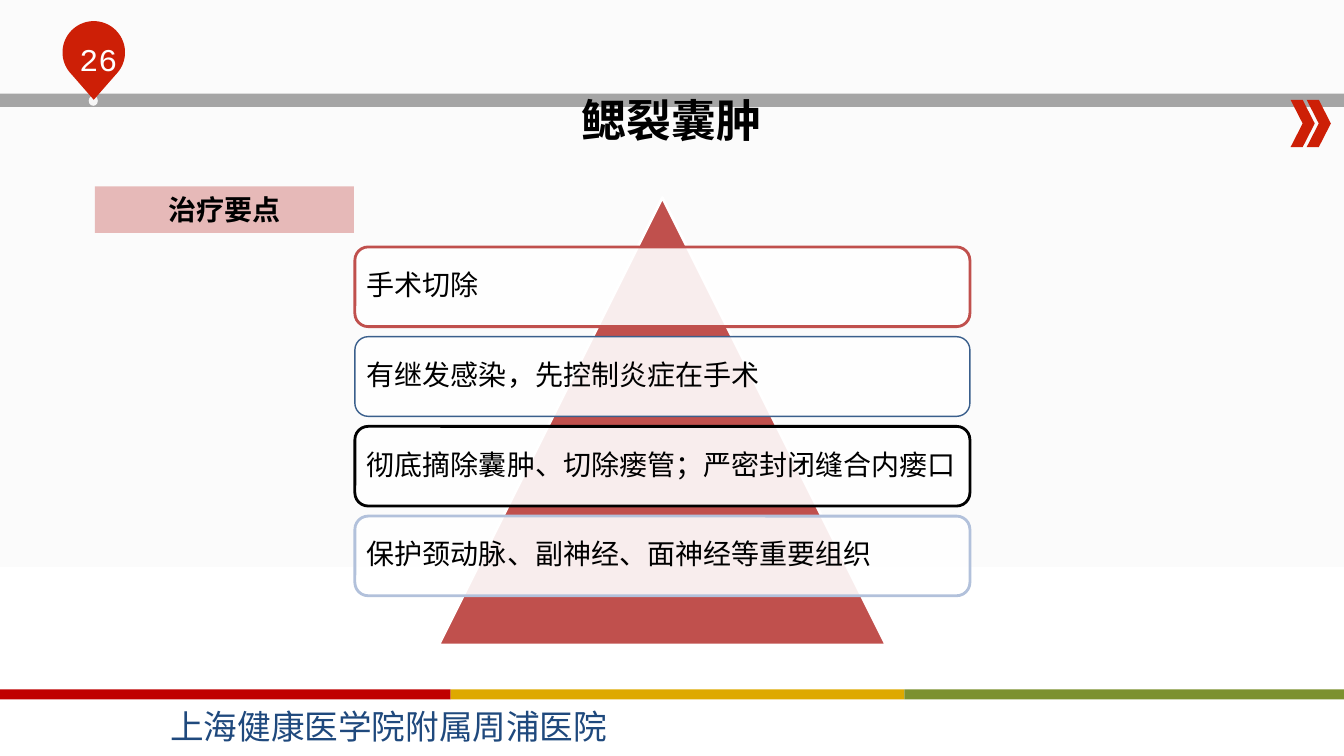
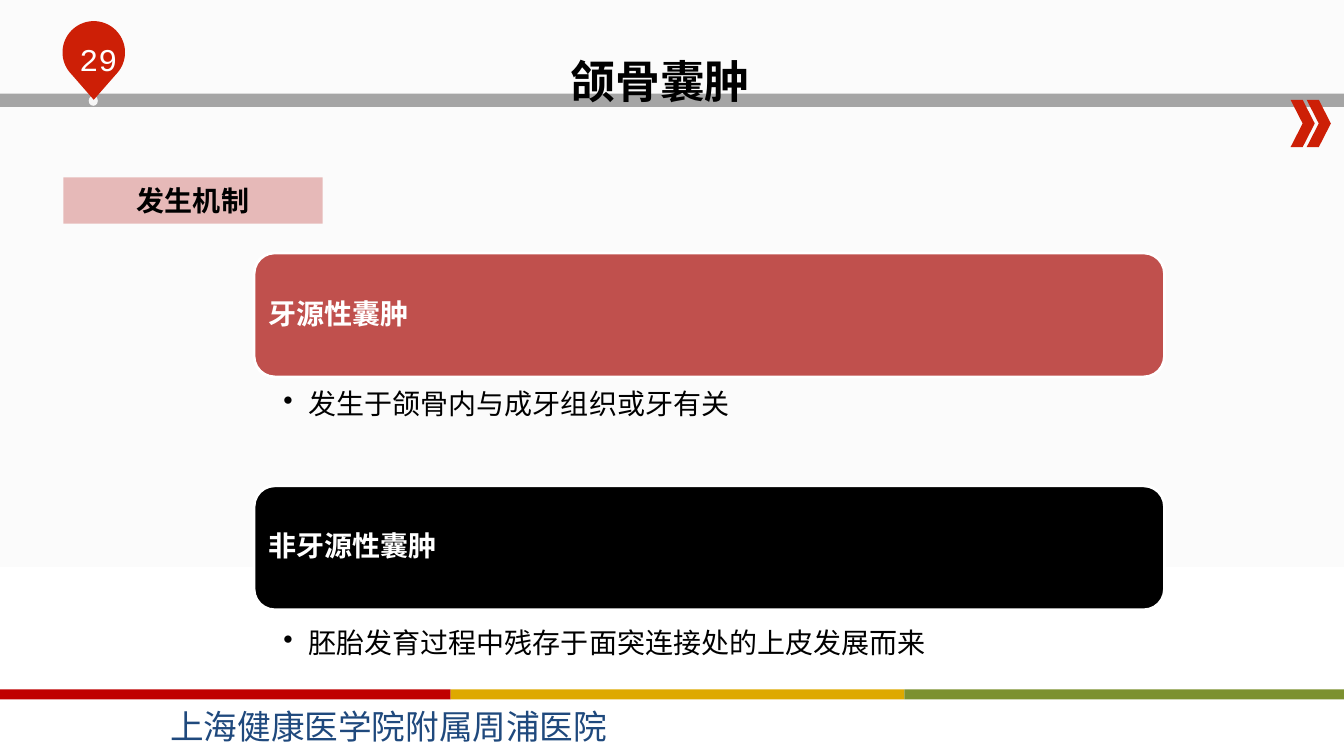
import copy
import math

import pptx
import pptx.dml.color
import pptx.enum.shapes
import pptx.enum.text
import pptx.oxml
import pptx.oxml.ns
import pptx.util

Inches = pptx.util.Inches
Pt = pptx.util.Pt
RGBColor = pptx.dml.color.RGBColor
SHAPE = pptx.enum.shapes.MSO_SHAPE
ALIGN = pptx.enum.text.PP_ALIGN
ANCHOR = pptx.enum.text.MSO_ANCHOR
AUTO_SIZE = pptx.enum.text.MSO_AUTO_SIZE
qn = pptx.oxml.ns.qn

# Colours
BLACK = RGBColor(0x00, 0x00, 0x00)
WHITE = RGBColor(0xFF, 0xFF, 0xFF)
OFF_WHITE = RGBColor(0xFB, 0xFB, 0xFB)
DOT_WHITE = RGBColor(0xF6, 0xF6, 0xF6)
GREY = RGBColor(0xA5, 0xA5, 0xA5)
PIN_RED = RGBColor(0xCD, 0x1F, 0x06)
BRICK = RGBColor(0xC0, 0x50, 0x4D)
PINK = RGBColor(0xE6, 0xB9, 0xB8)
STEEL_BLUE = RGBColor(0x3A, 0x5F, 0x8C)
PALE_BLUE = RGBColor(0xB2, 0xC1, 0xDB)
NAVY = RGBColor(0x1F, 0x49, 0x7D)
BAND_COLORS = (RGBColor(0xC0, 0x00, 0x00), RGBColor(0xDE, 0xA9, 0x00),
               RGBColor(0x7C, 0x91, 0x2F))

# Text formats
SERIF = "Times New Roman"
CHINESE = "Noto Sans CJK SC"
TITLE = {"name": SERIF, "size": Pt(32), "bold": True, "color": BLACK}
LABEL = {"name": SERIF, "size": Pt(20), "bold": True, "color": BLACK}
HEADING = {**LABEL, "color": WHITE}
BODY = {**LABEL, "bold": False}
FOOTER = {"name": CHINESE, "size": Pt(24), "color": NAVY}
NUMBER = {"name": "Courier New", "size": Pt(22.6), "color": WHITE}

SLIDE_WIDTH, SLIDE_HEIGHT = 13.33, 7.5
FOOTER_TEXT = "上海健康医学院附属周浦医院"


def write(shape, text, formats, align=ALIGN.LEFT, anchor=ANCHOR.TOP, wrap=True,
          insets=(0.1, 0.05, 0.1, 0.05), spacing=None, bullet=False):
    """Put one formatted paragraph into a shape."""
    frame = shape.text_frame
    frame.word_wrap = wrap
    frame.vertical_anchor = anchor
    for side, inset in zip(("left", "top", "right", "bottom"), insets):
        setattr(frame, f"margin_{side}", Inches(inset))
    paragraph = frame.paragraphs[0]
    paragraph.alignment = align
    if spacing:
        paragraph.line_spacing = spacing
    if bullet:
        properties = paragraph._p.get_or_add_pPr()
        properties.set("marL", str(Inches(0.25)))
        properties.set("indent", str(-Inches(0.25)))
        mark = properties.makeelement(qn("a:buChar"), {"char": "•"})
        properties.append(mark)
    run = paragraph.add_run()
    run.text = text
    for name, value in formats.items():
        if name == "color":
            run.font.color.rgb = value
        else:
            setattr(run.font, name, value)
    east_asian = run.font._element.makeelement(qn("a:ea"), {"typeface": CHINESE})
    run.font._element.append(east_asian)


def paint(shape, fill, line=None, line_width=2):
    shape.shadow.inherit = False
    shape.fill.solid()
    shape.fill.fore_color.rgb = fill
    if line is None:
        shape.line.fill.background()
    else:
        shape.line.color.rgb = line
        shape.line.width = Pt(line_width)


def add_box(slide, kind, box, fill, line=None, line_width=2):
    shape = slide.shapes.add_shape(kind, *map(Inches, box))
    paint(shape, fill, line, line_width)
    return shape


def add_text(slide, box, text, formats, **layout):
    shape = slide.shapes.add_textbox(*map(Inches, box))
    write(shape, text, formats, **layout)
    return shape


def set_background(slide):
    """Off-white for the upper half, fading to white at the foot."""
    fill = slide.background.fill
    fill.gradient()
    fill.gradient_angle = 270
    first, last = fill.gradient_stops
    first.color.rgb, first.position = OFF_WHITE, 0
    last.color.rgb, last.position = WHITE, 1
    stops = slide.element.find(".//" + qn("a:gsLst"))
    middle = copy.deepcopy(stops[0])
    middle.set("pos", "50000")
    stops.insert(1, middle)


def add_pin(slide, left, top, number):
    """Map pin with the page number: a round head and a pointed foot."""
    radius, height = 0.31, 0.78
    center_x, center_y = left + radius, top + radius
    add_box(slide, SHAPE.OVAL, (center_x - 0.05, top + 0.74, 0.09, 0.1), DOT_WHITE)
    arc = [(center_x + radius * math.cos(math.radians(angle)),
            center_y + radius * math.sin(math.radians(angle)))
           for angle in range(135, 406, 5)]
    points = [(Inches(x), Inches(y)) for x, y in arc]
    builder = slide.shapes.build_freeform(Inches(center_x), Inches(top + height))
    builder.add_line_segments(points, close=True)
    paint(builder.convert_to_shape(), PIN_RED)
    add_text(slide, (center_x - 0.39, top + 0.14, 0.87, 0.4), str(number), NUMBER,
             align=ALIGN.CENTER)


def add_footer(slide, top):
    edges = (0, 4.47, 8.97, SLIDE_WIDTH)
    for left, right, color in zip(edges, edges[1:], BAND_COLORS):
        add_box(slide, SHAPE.RECTANGLE, (left, top, right - left, 0.1), color)
    add_text(slide, (1.59, top + 0.11, 4.53, 0.5), FOOTER_TEXT, FOOTER, wrap=False)


def add_base_slide(presentation, number):
    """Blank slide with everything the slides share."""
    slide = presentation.slides.add_slide(presentation.slide_layouts[6])
    set_background(slide)
    add_box(slide, SHAPE.RECTANGLE, (0, 0.93, SLIDE_WIDTH, 0.13), GREY)
    for left in (12.8, 12.96):
        add_box(slide, SHAPE.CHEVRON, (left, 0.99, 0.24, 0.47), PIN_RED)
    add_pin(slide, 0.62, 0.21, number)
    add_footer(slide, 6.84)
    return slide


def add_title(slide, left, top, text):
    title = add_text(slide, (left, top, 2, 0.91), text, TITLE, wrap=False, spacing=1.5)
    title.text_frame.auto_size = AUTO_SIZE.SHAPE_TO_FIT_TEXT


def add_label(slide, left, top, text):
    label = add_box(slide, SHAPE.RECTANGLE, (left, top, 2.57, 0.46), PINK)
    write(label, text, LABEL, align=ALIGN.CENTER, anchor=ANCHOR.MIDDLE,
          insets=(0.12, 0.06, 0.12, 0.06))


def add_card(slide, box, text, formats, fill, line, line_width=2):
    """Rounded box with one line of text, centred vertically."""
    card = add_box(slide, SHAPE.ROUNDED_RECTANGLE, box, fill, line, line_width)
    write(card, text, formats, anchor=ANCHOR.MIDDLE, insets=(0.08,) * 4, spacing=0.9)
    return card


def add_pyramid(slide, left, top, steps):
    """Triangle with a stack of cards across it."""
    card_width, card_height, pitch = 6.1, 0.79, 0.89
    size = 4.44
    add_box(slide, SHAPE.ISOSCELES_TRIANGLE,
            (left + (card_width - size) / 2, top, size, size), BRICK, WHITE)
    for index, (text, line, line_width) in enumerate(steps):
        box = (left, top + 0.49 + index * pitch, card_width, card_height)
        card = add_card(slide, box, text, BODY, WHITE, line, line_width)
        color = card.fill._xPr.find(".//" + qn("a:srgbClr"))
        color.append(color.makeelement(qn("a:alpha"), {"val": "90000"}))


def add_sections(slide, left, top, width, sections):
    """Coloured headings, each with a bulleted line below."""
    for index, (heading, detail, fill) in enumerate(sections):
        add_card(slide, (left, top + index * 2.31, width, 1.23), heading, HEADING,
                 fill, WHITE)
        add_text(slide, (left, top + 1.33 + index * 2.37, width, 1.09), detail, BODY,
                 insets=(0.29, 0.03, 0.16, 0.03), spacing=0.9, bullet=True)


def build_treatment(presentation):
    slide = add_base_slide(presentation, 26)
    add_title(slide, 5.67, 0.6, "鳃裂囊肿")
    add_label(slide, 0.94, 1.85, "治疗要点")
    add_pyramid(slide, 3.52, 1.96, (
        ("手术切除", BRICK, 2),
        ("有继发感染，先控制炎症在手术", STEEL_BLUE, 1),
        ("彻底摘除囊肿、切除瘘管；严密封闭缝合内瘘口", BLACK, 2),
        ("保护颈动脉、副神经、面神经等重要组织", PALE_BLUE, 2),
    ))


def build_mechanism(presentation):
    slide = add_base_slide(presentation, 29)
    add_sections(slide, 2.52, 2.51, 9.03, (
        ("牙源性囊肿", "发生于颌骨内与成牙组织或牙有关", BRICK),
        ("非牙源性囊肿", "胚胎发育过程中残存于面突连接处的上皮发展而来", BLACK),
    ))
    add_label(slide, 0.63, 1.76, "发生机制")
    add_title(slide, 5.56, 0.22, "颌骨囊肿")


def main():
    presentation = pptx.Presentation()
    presentation.slide_width = Inches(SLIDE_WIDTH)
    presentation.slide_height = Inches(SLIDE_HEIGHT)
    build_treatment(presentation)
    build_mechanism(presentation)
    presentation.save("out.pptx")


if __name__ == "__main__":
    main()
